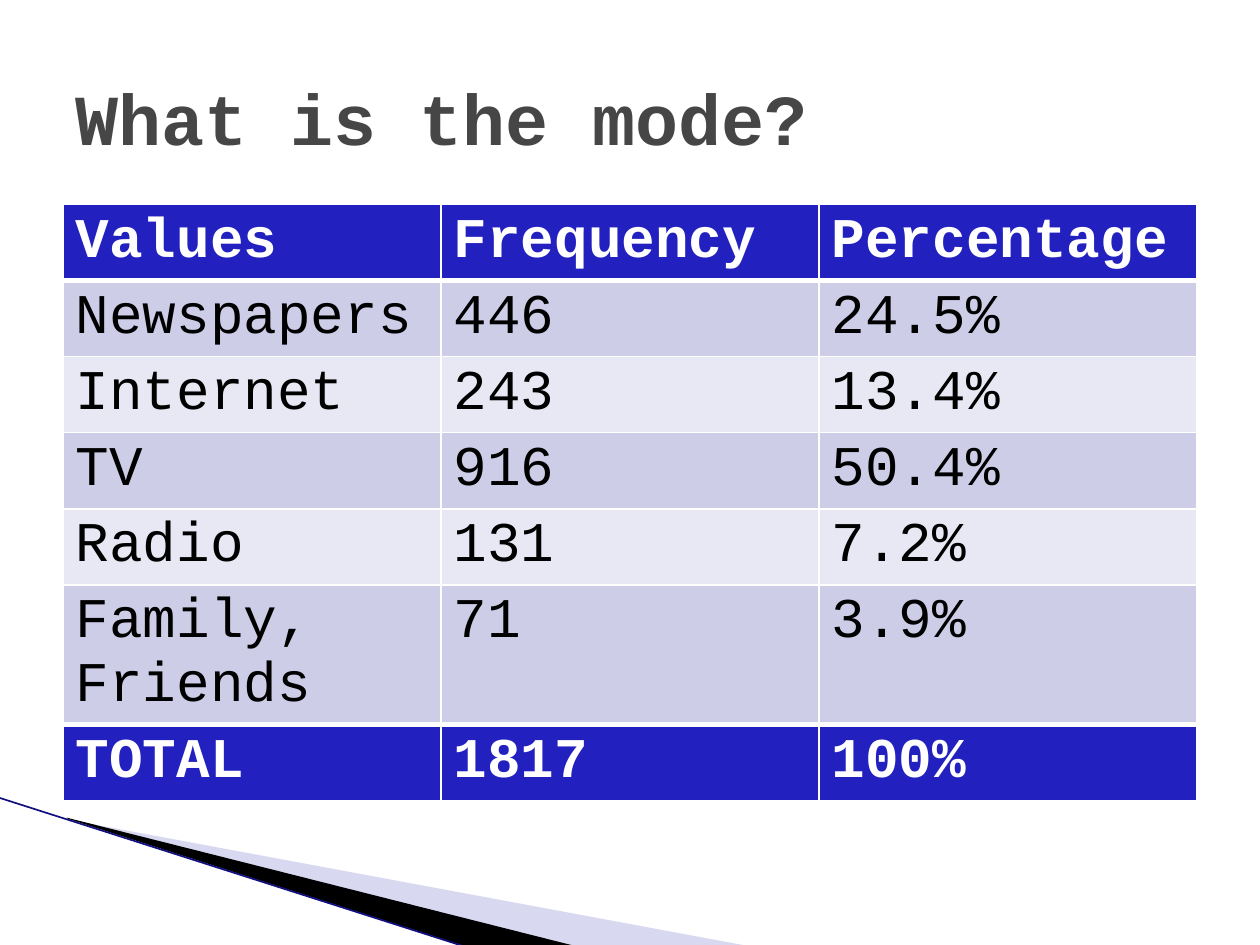
from lxml import etree
from pptx import Presentation
from pptx.dml.color import RGBColor
from pptx.enum.shapes import MSO_CONNECTOR
from pptx.enum.text import MSO_ANCHOR, PP_ALIGN
from pptx.oxml.ns import qn
from pptx.util import Pt

STRAIGHT = MSO_CONNECTOR.STRAIGHT
MIDDLE = MSO_ANCHOR.MIDDLE
LEFT = PP_ALIGN.LEFT

FONT = "Courier New"
COLOURS = {
    "title": "464646", "strong": "2221BF", "odd": "CDCDE8", "even": "E8E8F4",
    "white": "FFFFFF", "black": "000000", "pale": "9F9FDC", "edge": "11107F",
}
TITLE = "What is the mode?"
ROWS = [
    ("Values", "Frequency", "Percentage"),
    ("Newspapers", "446", "24.5%"),
    ("Internet", "243", "13.4%"),
    ("TV", "916", "50.4%"),
    ("Radio", "131", "7.2%"),
    ("Family, Friends", "71", "3.9%"),
    ("TOTAL", "1817", "100%"),
]
WRAPPED_ROW = 5
ROW_HEIGHT, WRAPPED_HEIGHT = 43.4, 79
MARGIN, CONTENT_WIDTH, TABLE_TOP = 36, 648, 116.8
WEDGES = [
    ("pale", 40, [(39.6, 468.5), (428.4, 540.7), (328.3, 540.7), (39.6, 468)]),
    ("black", 100, [(38.2, 467.3), (329, 540.7), (267.8, 541.4), (38.9, 468)]),
]
EDGE = (-0.7, 455.8, 267.1, 541.4)


def rgb(name):
    return RGBColor.from_string(COLOURS[name])


def write(paragraph, text, size, colour, bold):
    run = paragraph.add_run()
    run.text = text
    run.font.name = FONT
    run.font.size = Pt(size)
    run.font.bold = bold
    run.font.color.rgb = rgb(colour)


def add_wedge(slide, colour, opacity, points):
    start, *rest = [(Pt(x), Pt(y)) for x, y in points]
    builder = slide.shapes.build_freeform(*start)
    builder.add_line_segments(rest, close=True)
    wedge = builder.convert_to_shape()
    wedge.shadow.inherit = False
    wedge.line.fill.background()
    wedge.fill.solid()
    wedge.fill.fore_color.rgb = rgb(colour)
    if opacity < 100:
        fill_colour = wedge.fill._xPr.find(".//" + qn("a:srgbClr"))
        etree.SubElement(fill_colour, qn("a:alpha"), val=str(opacity * 1000))


def add_edge(slide):
    edge = slide.shapes.add_connector(STRAIGHT, *map(Pt, EDGE))
    edge.line.color.rgb = rgb("edge")
    edge.line.width = Pt(0.95)
    etree.SubElement(edge._element.spPr, qn("a:effectLst"))


def set_borders(cell, widths):
    properties = cell._tc.get_or_add_tcPr()
    for index, (side, width) in enumerate(widths.items()):
        border = etree.Element(qn(f"a:ln{side}"), w=str(Pt(width)))
        fill = etree.SubElement(border, qn("a:solidFill"))
        etree.SubElement(fill, qn("a:srgbClr"), val=COLOURS["white"])
        properties.insert(index, border)


def add_frequency_table(slide):
    last = len(ROWS) - 1
    heights = [WRAPPED_HEIGHT if i == WRAPPED_ROW else ROW_HEIGHT
               for i in range(len(ROWS))]
    table = slide.shapes.add_table(
        len(ROWS), len(ROWS[0]), Pt(MARGIN), Pt(TABLE_TOP),
        Pt(CONTENT_WIDTH), Pt(sum(heights))).table
    table.last_row = True
    for i, values in enumerate(ROWS):
        table.rows[i].height = Pt(heights[i])
        strong = i in (0, last)
        fill = "strong" if strong else "odd" if i % 2 else "even"
        widths = {"L": 1, "R": 1,
                  "T": 3 if i in (1, last) else 1,
                  "B": 3 if i in (0, last - 1) else 1}
        for j, value in enumerate(values):
            cell = table.cell(i, j)
            cell.fill.solid()
            cell.fill.fore_color.rgb = rgb(fill)
            set_borders(cell, widths)
            write(cell.text_frame.paragraphs[0], value, 32,
                  "white" if strong else "black", strong)


def add_title(slide):
    title = slide.shapes.title
    title.left, title.top = Pt(MARGIN), Pt(21.6)
    title.width, title.height = Pt(CONTENT_WIDTH), Pt(90)
    title.text_frame.vertical_anchor = MIDDLE
    paragraph = title.text_frame.paragraphs[0]
    paragraph.alignment = LEFT
    write(paragraph, TITLE, 41, "title", True)


def main():
    """Build the slide with the frequency table."""
    deck = Presentation()
    deck.slide_width, deck.slide_height = Pt(720), Pt(540)
    slide = deck.slides.add_slide(deck.slide_layouts[5])
    for wedge in WEDGES:
        add_wedge(slide, *wedge)
    add_edge(slide)
    add_frequency_table(slide)
    add_title(slide)
    deck.save("out.pptx")


if __name__ == "__main__":
    main()
